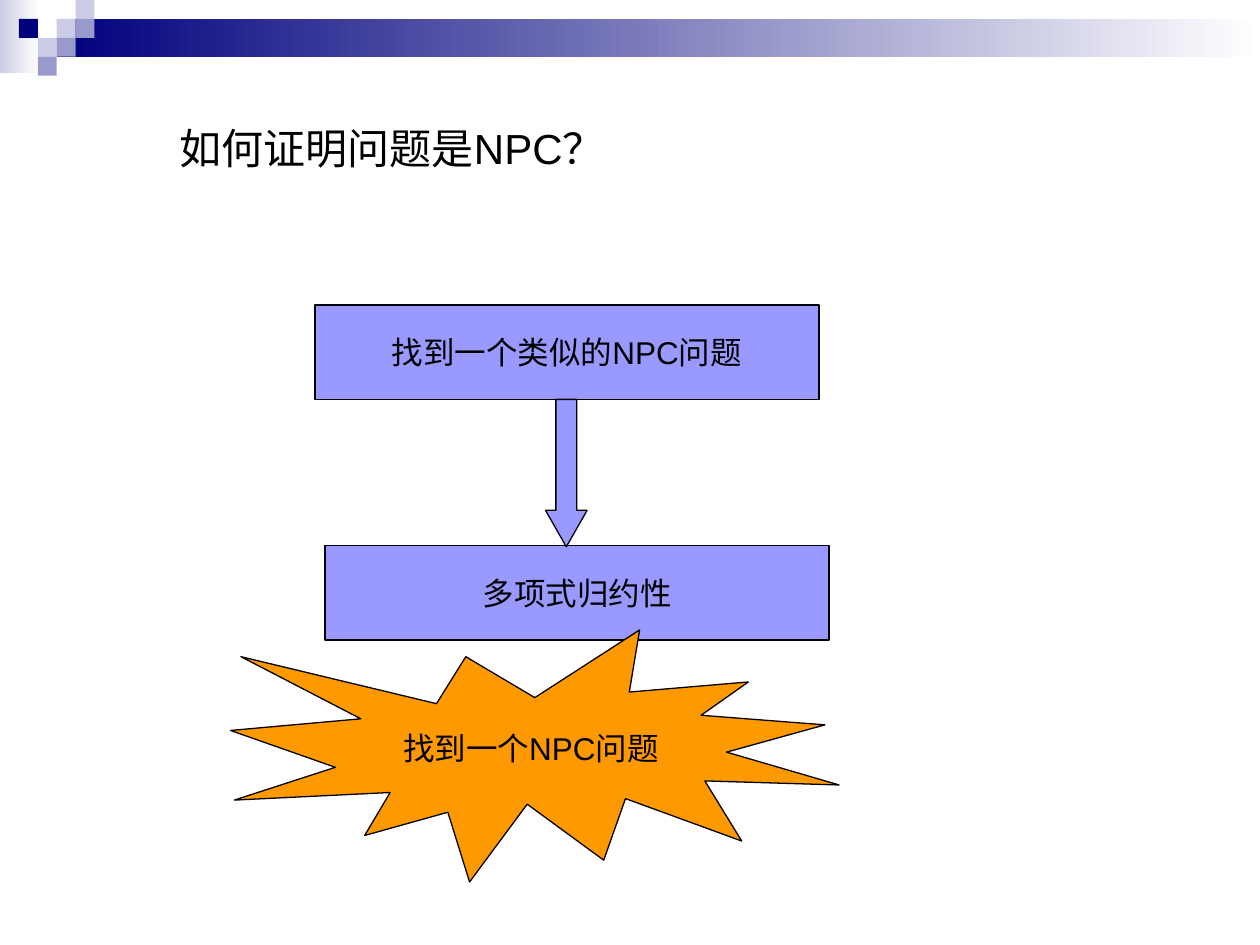
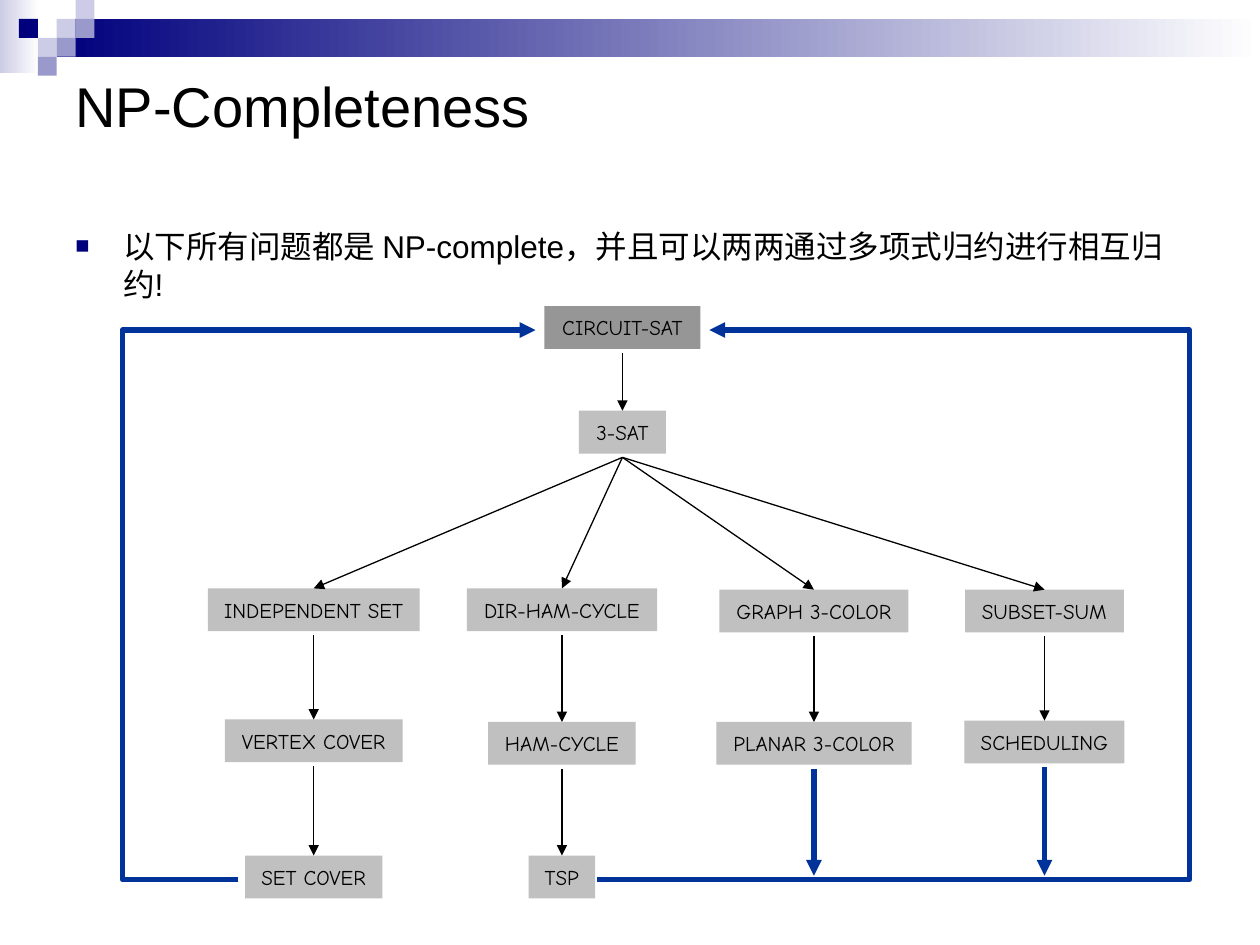
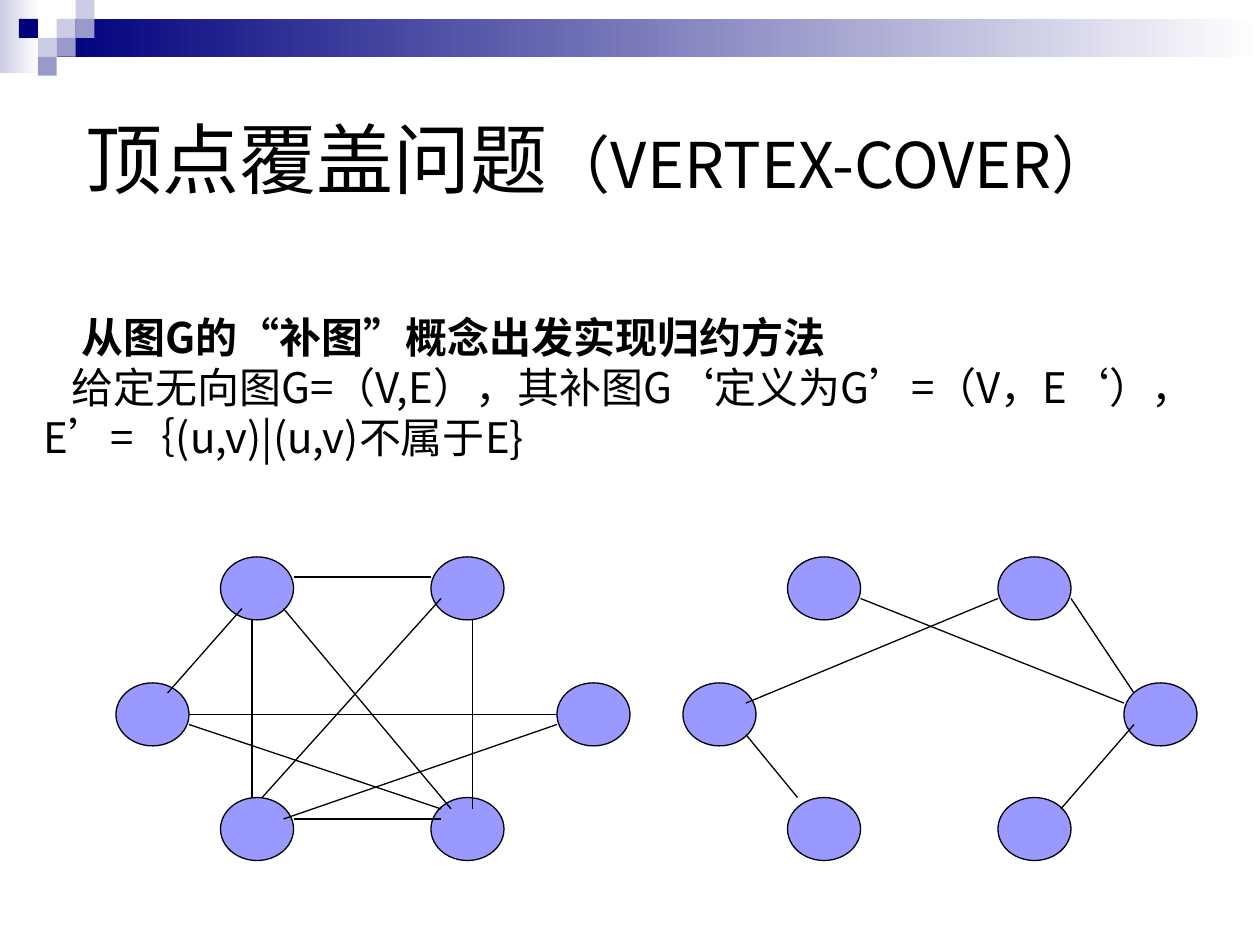
from itertools import groupby
from pptx import Presentation
from pptx.dml.color import RGBColor
from pptx.enum.shapes import MSO_CONNECTOR, MSO_SHAPE
from pptx.enum.text import MSO_ANCHOR, PP_ALIGN
from pptx.oxml.ns import qn
from pptx.util import Inches, Pt
from lxml.etree import SubElement

BLACK, WHITE, NAVY, PALE, MAUVE = "000000", "FFFFFF", "00007D", "CCCCE6", "9999CC"
LILAC, AMBER, BLUE, GREY, DARK = "9999FF", "FF9900", "003399", "C0C0C0", "969696"
SANS, HAN, ROMAN, COMIC = "Arial", "Noto Sans CJK SC", "Times New Roman", "Comic Neue"
MIDDLE = {"vertical_anchor": MSO_ANCHOR.MIDDLE}


def hue(code):
    return RGBColor.from_string(code)


def style(item, values):
    for name, value in values.items():
        setattr(item, name, value)


def add_run(para, text, size, font=SANS, bold=False):
    run = para.add_run()
    run.text = text
    run.font.color.rgb = hue(BLACK)
    style(run.font, {"name": font, "size": Pt(size), "bold": bold})
    props = run._r.get_or_add_rPr()
    props.set("lang", "zh-CN")
    SubElement(props, qn("a:ea")).set("typeface", HAN)


def add_text(slide, box, **frame):
    area = slide.shapes.add_textbox(*map(Inches, box)).text_frame
    style(area, {"word_wrap": True, **frame})
    return area


def indent(para, left, first):
    props = para._p.get_or_add_pPr()
    props.set("marL", str(Inches(left)))
    props.set("indent", str(Inches(first)))
    return props


def add_shape(slide, kind, box, fill, line=None):
    shape = slide.shapes.add_shape(kind, *map(Inches, box))
    shape.shadow.inherit = False
    if isinstance(fill, tuple):
        shape.fill.gradient()
        shape.fill.gradient_angle = 0
        for stop, code in zip(shape.fill.gradient_stops, fill):
            stop.color.rgb = hue(code)
    else:
        shape.fill.solid()
        shape.fill.fore_color.rgb = hue(fill)
    if line:
        shape.line.color.rgb = hue(line)
        shape.line.width = Pt(0.75)
    else:
        shape.line.fill.background()
    return shape


def label(shape, text, size, font=SANS):
    style(shape.text_frame, {"word_wrap": False, **MIDDLE})
    para = shape.text_frame.paragraphs[0]
    para.alignment = PP_ALIGN.CENTER
    add_run(para, text, size, font)


def add_line(slide, ends, color=BLACK, width=0.75, head=True, via=None):
    kind = MSO_CONNECTOR.STRAIGHT if via is None else MSO_CONNECTOR.ELBOW
    link = slide.shapes.add_connector(kind, *map(Inches, ends))
    link.line.color.rgb = hue(color)
    link.line.width = Pt(width)
    props = link._element.spPr
    SubElement(props, qn("a:effectLst"))
    if head:
        SubElement(link.line._get_or_add_ln(), qn("a:tailEnd")).set("type", "triangle")
    if via is not None:
        ratio = round((via - ends[0]) / (ends[2] - ends[0]) * 100000)
        guide = SubElement(props.find(qn("a:prstGeom")).get_or_add_avLst(), qn("a:gd"))
        guide.set("name", "adj1")
        guide.set("fmla", f"val {ratio}")


def add_band(slide):
    rect, unit = MSO_SHAPE.RECTANGLE, 0.15
    add_shape(slide, rect, (0, 0, 0.31, 0.58), (PALE, WHITE))
    add_shape(slide, rect, (0.45, unit, 9.55, 0.3), (NAVY, WHITE))
    tiles = [(3, 1, PALE), (4, 0, PALE), (4, 1, MAUVE), (2, 2, PALE),
             (1, 1, NAVY), (3, 2, MAUVE), (2, 3, MAUVE)]
    for col, row, fill in tiles:
        add_shape(slide, rect, (col * unit, row * unit, unit, unit), fill)


def new_slide(deck):
    slide = deck.slides.add_slide(deck.slide_layouts[6])
    add_band(slide)
    return slide


def add_title(slide, box, parts):
    para = add_text(slide, box, **MIDDLE).paragraphs[0]
    for part in parts:
        add_run(para, *part)


def add_steps(slide, left, top):
    steps = [
        (MSO_SHAPE.RECTANGLE, (0.67, 0, 4, 0.75), LILAC, "找到一个类似的NPC问题"),
        (MSO_SHAPE.RECTANGLE, (0.75, 1.91, 4, 0.75), LILAC, "多项式归约性"),
        (MSO_SHAPE.DOWN_ARROW, (2.5, 0.75, 0.33, 1.17), LILAC, ""),
        (MSO_SHAPE.EXPLOSION1, (0, 2.58, 4.83, 2), AMBER, "找到一个NPC问题"),
    ]
    for kind, (x, y, wide, high), fill, text in steps:
        shape = add_shape(slide, kind, (left + x, top + y, wide, high), fill, BLACK)
        if text:
            label(shape, text, 18)
        else:
            shape.adjustments[1] = 0.876


def add_node(slide, mid, top, wide, text, fill=GREY):
    box = (mid - wide / 2, top, wide, 0.34)
    label(add_shape(slide, MSO_SHAPE.RECTANGLE, box, fill), text, 12, COMIC)


def add_tree(slide, left, top):
    root, gap, high = left + 3.97, 0.03, 0.34
    fork = top + 1.2
    add_node(slide, root, top, 1.24, "CIRCUIT-SAT", DARK)
    add_node(slide, root, top + 0.83, 0.69, "3-SAT")
    add_line(slide, (root, top + high + gap, root, top + 0.83))
    chains = [
        (1.52, [(2.24, 1.68, "INDEPENDENT SET"), (3.28, 1.41, "VERTEX COVER"), (4.36, 1.09, "SET COVER")]),
        (3.49, [(2.24, 1.51, "DIR-HAM-CYCLE"), (3.3, 1.17, "HAM-CYCLE"), (4.36, 0.53, "TSP")]),
        (5.49, [(2.25, 1.5, "GRAPH 3-COLOR"), (3.3, 1.55, "PLANAR 3-COLOR")]),
        (7.32, [(2.25, 1.26, "SUBSET-SUM"), (3.29, 1.27, "SCHEDULING")]),
    ]
    for x, chain in chains:
        mid, start = left + x, (root, fork)
        for y, wide, text in chain:
            add_node(slide, mid, top + y, wide, text)
            add_line(slide, (*start, mid, top + y))
            start = (mid, top + y + high + gap)
        if len(chain) == 2:
            add_line(slide, (*start, mid, top + 4.52), BLUE, 3)
    low, high = top + 4.55, top + 0.19
    for x, end, via in [(3.77, 4.66, 8.47), (0.92, 3.28, 0)]:
        add_line(slide, (left + x, low, left + end, high), BLUE, 3, via=left + via)


def add_point(slide, box, text):
    para = add_text(slide, box).paragraphs[0]
    props = indent(para, 0.38, -0.38)
    color = SubElement(props, qn("a:buClr"))
    SubElement(color, qn("a:srgbClr")).set("val", NAVY)
    SubElement(props, qn("a:buSzPct")).set("val", "75000")
    SubElement(props, qn("a:buFont")).set("typeface", SANS)
    SubElement(props, qn("a:buChar")).set("char", "■")
    add_run(para, text, 18)


def add_notion(slide, box):
    area = add_text(slide, box)
    lines = [("从图G的“补图”概念出发实现归约方法", 0.3, True),
             ("给定无向图G=（V,E），其补图G‘定义为G’=（V，E‘），E’=｛(u,v)|(u,v)不属于E}", 0.22, False)]
    for spot, (text, first, bold) in enumerate(lines):
        para = area.add_paragraph() if spot else area.paragraphs[0]
        indent(para, 0, first)
        for quote, chars in groupby(text, lambda char: char in "“”‘’"):
            add_run(para, "".join(chars), 24, ROMAN if quote else HAN, bold)


def add_graph(slide, left, top, edges):
    spots = [(0, 1), (0.83, 0), (2.5, 0), (0.83, 1.91), (2.5, 1.91), (3.5, 1)]
    for x, y in spots:
        add_shape(slide, MSO_SHAPE.OVAL, (left + x, top + y, 0.58, 0.5), LILAC, BLACK)
    for x, y, end, low in edges:
        add_line(slide, (left + x, top + y, left + end, top + low), head=False)


def proof_slide(deck):
    slide = new_slide(deck)
    para = add_text(slide, (0.83, 0.92, 8.58, 1.11)).paragraphs[0]
    indent(para, 0.5, 0)
    add_run(para, "如何证明问题是NPC？", 24)
    add_steps(slide, 1.83, 2.42)


def tree_slide(deck):
    slide = new_slide(deck)
    add_point(slide, (0.5, 1.75, 9, 4.25),
              "以下所有问题都是 NP-complete，并且可以两两通过多项式归约进行相互归约!")
    add_tree(slide, 0.97, 2.43)
    add_title(slide, (0.5, 0.5, 9, 0.67), [("NP-Completeness", 32)])


def cover_slide(deck):
    slide = new_slide(deck)
    add_title(slide, (0.58, 0.5, 8.75, 1.5),
              [("顶点覆盖问题", 44, HAN), ("（VERTEX-COVER）", 36, HAN)])
    add_notion(slide, (0.25, 2.42, 9.33, 1.3))
    edges = [(0.41, 1.08, 1, 0.41), (1.41, 0.16, 2.5, 0.16), (0.58, 1.25, 3.5, 1.25),
             (1.08, 0.5, 1.08, 1.91), (2.83, 0.5, 2.83, 2), (1.41, 2.08, 2.58, 2.08),
             (3.5, 1.33, 1.33, 2.08), (0.58, 1.33, 2.58, 2), (1.33, 0.41, 2.66, 2),
             (2.58, 0.33, 1.16, 1.91)]
    others = [(2.5, 0.33, 0.5, 1.16), (3.08, 0.33, 3.58, 1.08), (1.41, 0.33, 3.5, 1.16),
              (0.5, 1.41, 0.91, 1.91), (3.58, 1.33, 3, 2)]
    add_graph(slide, 0.92, 4.42, edges)
    add_graph(slide, 5.42, 4.42, others)


def main():
    deck = Presentation()
    style(deck, {"slide_width": Inches(10), "slide_height": Inches(7.5)})
    for build in (proof_slide, tree_slide, cover_slide):
        build(deck)
    deck.save("out.pptx")


if __name__ == "__main__":
    main()
